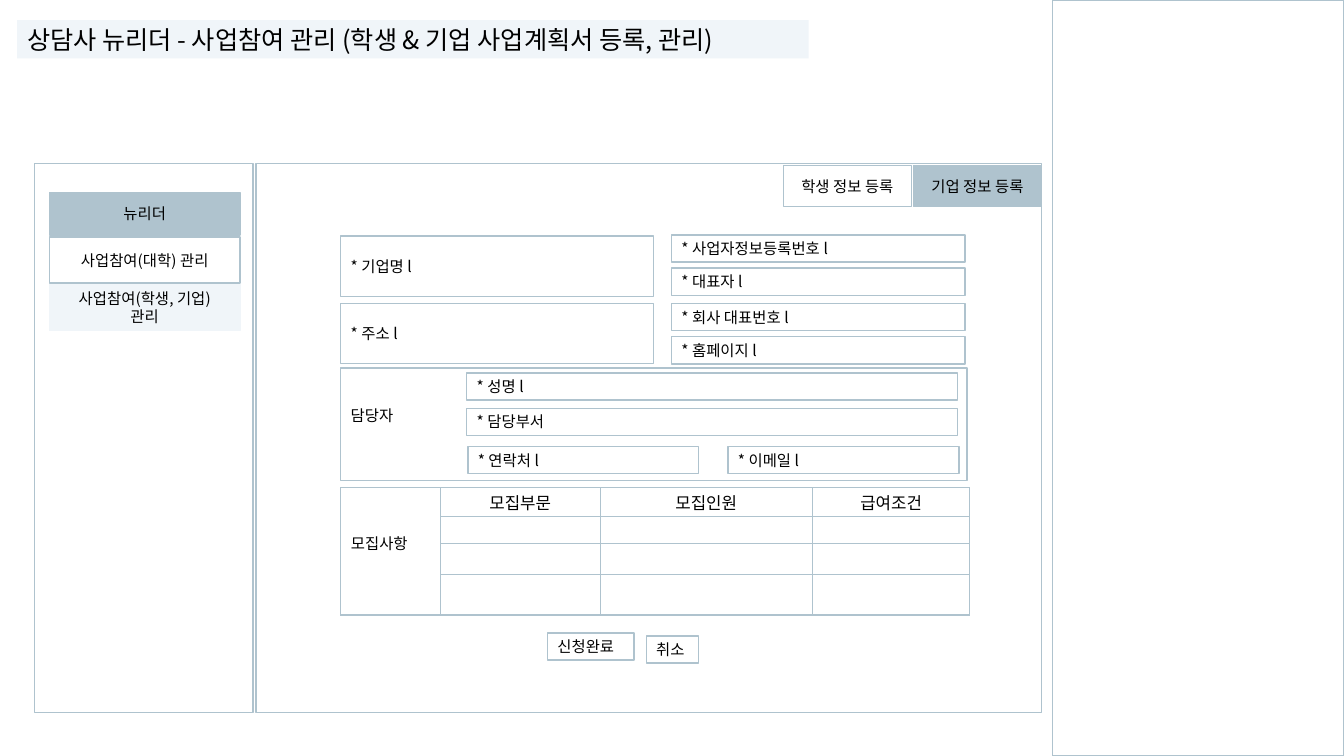
from lxml.etree import SubElement
from pptx import Presentation
from pptx.dml.color import RGBColor
from pptx.enum.shapes import MSO_SHAPE
from pptx.enum.text import MSO_ANCHOR, PP_ALIGN
from pptx.oxml.ns import qn
from pptx.util import Inches, Pt

FONT = "Noto Sans CJK KR"
COLORS = {"line": "AFC3CE", "pale": "F0F5F9", "text": "000000"}

# Content: boxes are (left, top, width, height)
TITLE = "상담사 뉴리더 - 사업참여 관리 (학생 & 기업 사업계획서 등록, 관리)"
PANELS = [(0.34, 1.62, 2.17, 5.45), (10.44, 0, 2.89, 7.5), (2.54, 1.62, 7.79, 5.45)]
MENU = [  # text, top, height, fill, line
    ("뉴리더", 1.91, 0.42, "line", "line"),
    ("사업참여(대학) 관리", 2.35, 0.46, None, "line"),
    ("사업참여(학생, 기업)\n관리", 2.82, 0.46, "pale", "pale"),
]
TABS = [("학생 정보 등록", 7.77, None), ("기업 정보 등록", 9.06, "line")]
FIELD_H = 0.27
LARGE_FIELDS = [("* 기업명 l", 2.34), ("* 주소 l", 3.01)]
COMPANY_FIELDS = [("* 사업자정보등록번호 l", 2.33), ("* 대표자 l", 2.66),
                  ("* 회사 대표번호 l", 3.01), ("* 홈페이지 l", 3.34)]
CONTACT_FIELDS = [  # text, left, top, width
    ("* 성명 l", 4.63, 3.7, 4.87),
    ("* 담당부서", 4.63, 4.05, 4.87),
    ("* 연락처 l", 4.64, 4.43, 2.29),
    ("* 이메일 l", 7.22, 4.43, 2.29),
]
BUTTONS = [("신청완료", 5.43, 6.28, 0.86), ("취소", 6.41, 6.31, 0.52)]
RECRUIT_HEAD = ["모집사항", "모집부문", "모집인원", "급여조건"]
RECRUIT_AT = (3.38, 4.84)
RECRUIT_COLS = [0.99, 1.58, 2.11, 1.56]
RECRUIT_ROWS = [0.28, 0.27, 0.31, 0.22]

prs = Presentation()
prs.slide_width, prs.slide_height = Inches(13.33), Inches(7.5)
s = prs.slides.add_slide(prs.slide_layouts[6])


def rgb(name):
    return RGBColor.from_string(COLORS[name])


def write(tf, text, size, align):
    tf.text = text
    for p in tf.paragraphs:
        p.alignment = align
        p.font.size = Pt(size)
        p.font.color.rgb = rgb("text")
        p.font.name = FONT
        SubElement(p._p.pPr.find(qn("a:defRPr")), qn("a:ea"), typeface=FONT)


def box(at, text="", fill=None, line="line", size=11, align=PP_ALIGN.LEFT):
    sp = s.shapes.add_shape(MSO_SHAPE.RECTANGLE, *map(Inches, at))
    sp.shadow.inherit = False
    if fill:
        sp.fill.solid()
        sp.fill.fore_color.rgb = rgb(fill)
    else:
        sp.fill.background()
    if line:
        sp.line.color.rgb = rgb(line)
        sp.line.width = Pt(1)
    else:
        sp.line.fill.background()
    if text:
        tf = sp.text_frame
        tf.word_wrap = True
        tf.vertical_anchor = MSO_ANCHOR.MIDDLE
        write(tf, text, size, align)
    return sp


def border(cell, side, width):
    ln = SubElement(cell._tc.get_or_add_tcPr(), qn("a:ln" + side), w=str(Pt(width)))
    fill = SubElement(ln, qn("a:solidFill"))
    SubElement(fill, qn("a:srgbClr"), val=COLORS["line"])


# Panels and title
for at in PANELS:
    box(at)
box((0.17, 0.2, 7.85, 0.38), TITLE, "pale", None, 18)

# Side menu and tabs
for text, top, height, fill, line in MENU:
    box((0.49, top, 1.89, height), text, fill, line, align=PP_ALIGN.CENTER)
for text, left, fill in TABS:
    box((left, 1.64, 1.27, 0.41), text, fill, align=PP_ALIGN.CENTER)

# Company fields
for text, top in LARGE_FIELDS:
    box((3.38, top, 3.1, 0.6), text)
for text, top in COMPANY_FIELDS:
    box((6.66, top, 2.91, FIELD_H), text)

# Contact person
contact = box((3.38, 3.65, 6.21, 1.12), "담당자")
contact.text_frame.margin_bottom = Inches(0.23)
for text, left, top, width in CONTACT_FIELDS + BUTTONS:
    box((left, top, width, FIELD_H), text)

# Recruitment table
size = (sum(RECRUIT_COLS), sum(RECRUIT_ROWS))
frame = s.shapes.add_table(len(RECRUIT_ROWS), len(RECRUIT_COLS),
                           *map(Inches, RECRUIT_AT + size))
table = frame.table
table.first_row = table.horz_banding = False
for col, width in zip(table.columns, RECRUIT_COLS):
    col.width = Inches(width)
for row, height in zip(table.rows, RECRUIT_ROWS):
    row.height = Inches(height)
last_row, last_col = len(RECRUIT_ROWS) - 1, len(RECRUIT_COLS) - 1
table.cell(0, 0).merge(table.cell(last_row, 0))
for i in range(last_row + 1):
    for j in range(last_col + 1):
        cell = table.cell(i, j)
        cell.margin_left = cell.margin_right = Inches(0.1)
        cell.margin_top = cell.margin_bottom = 0
        cell.vertical_anchor = MSO_ANCHOR.MIDDLE
        for side, outer in (("L", j == 0), ("R", j == last_col),
                            ("T", i == 0 or j == 0), ("B", i == last_row or j == 0)):
            border(cell, side, 1 if outer else 0.5)
        cell.fill.background()
        if i == 0:
            write(cell.text_frame, RECRUIT_HEAD[j], 12 if j else 11,
                  PP_ALIGN.CENTER if j else PP_ALIGN.LEFT)
        else:
            SubElement(cell.text_frame.paragraphs[0]._p, qn("a:endParaRPr"), sz="800")
table.cell(0, 0).margin_bottom = Inches(0.18)

prs.save("out.pptx")
